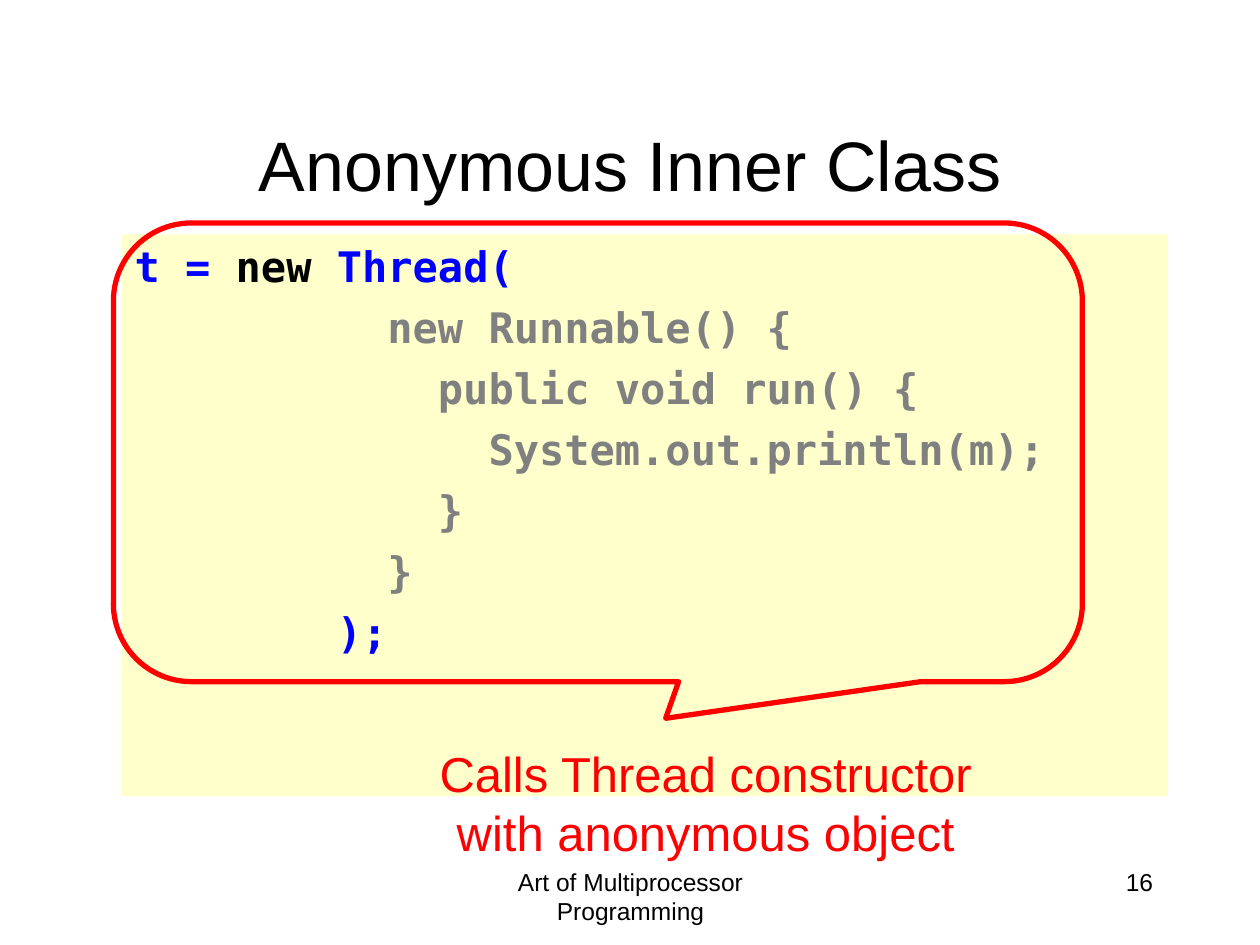
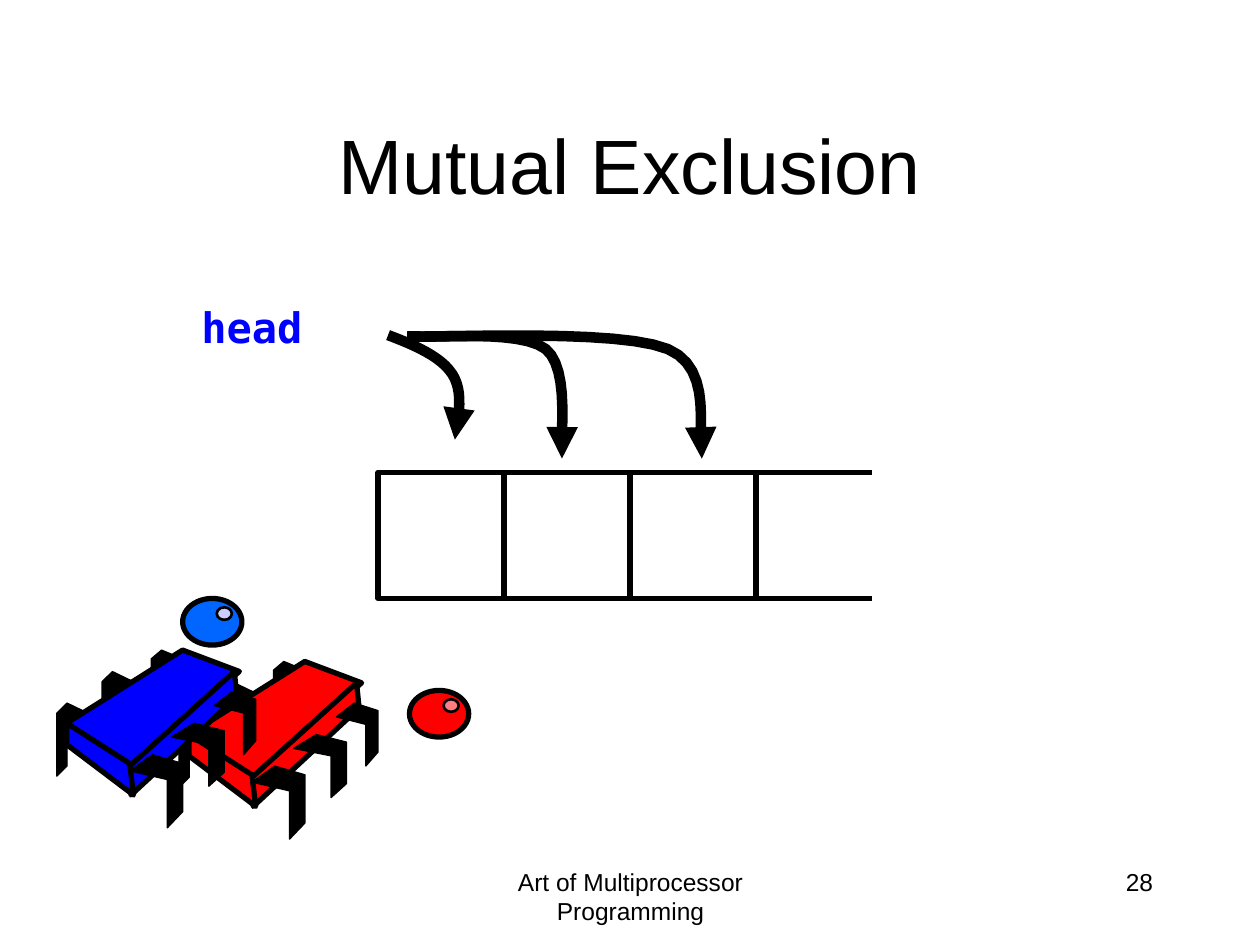
from dataclasses import dataclass

from lxml import etree
from pptx import Presentation
from pptx.dml.color import RGBColor
from pptx.enum.shapes import MSO_CONNECTOR, MSO_SHAPE
from pptx.enum.text import MSO_ANCHOR, PP_ALIGN
from pptx.oxml.ns import qn
from pptx.util import Inches, Pt

LEFT, CENTER, RIGHT = PP_ALIGN.LEFT, PP_ALIGN.CENTER, PP_ALIGN.RIGHT
TOP, MIDDLE = MSO_ANCHOR.TOP, MSO_ANCHOR.MIDDLE
RECT, ELLIPSE = MSO_SHAPE.RECTANGLE, MSO_SHAPE.OVAL
CALLOUT = MSO_SHAPE.ROUNDED_RECTANGULAR_CALLOUT
STRAIGHT = MSO_CONNECTOR.STRAIGHT

COLORS = {
    "black": "000000",
    "gray": "808080",
    "red": "FF0000",
    "blue": "0000FF",
    "sky": "0066FF",
    "lilac": "CCCCFF",
    "pink": "FF7C80",
    "cream": "FFFFCC",
}
SANS, MONO = "Arial", "DejaVu Sans Mono"
FOOTER = "Art of Multiprocessor Programming"

Point = tuple[float, float]
Box = tuple[float, float, float, float]


@dataclass(frozen=True)
class TextStyle:
    size: int
    color: str = "black"
    font: str = SANS
    bold: bool = False
    align: PP_ALIGN = CENTER
    anchor: MSO_ANCHOR = TOP


@dataclass(frozen=True)
class Bug:
    x: float
    y: float
    color: str


@dataclass(frozen=True)
class Eye:
    x: float
    y: float
    color: str
    glint: str


CODE = TextStyle(24, "blue", MONO, True, LEFT)
CODE_LINES = [
    [("t = ", "blue"), ("new", "black"), (" Thread(", "blue")],
    [("          new Runnable() {", "gray")],
    [("            public void run() {", "gray")],
    [("              System.out.println(m);", "gray")],
    [("            }", "gray")],
    [("          }", "gray")],
    [("        );", "blue")],
]

# Leg outlines as fractions of their box
BACK_LEG = [(1, 0.14), (0.33, 0), (0, 0.14), (0, 1), (0.33, 0.86), (0.33, 0.28), (1, 0.43)]
FRONT_LEG = [(0.43, 0), (0, 0.22), (0.71, 0.34), (0.71, 1), (1, 0.78), (1, 0.12)]
BACK_LEGS = [(0, 0.42, 0.25, 0.58), (0.36, 0.17, 0.25, 0.58), (0.75, 0, 0.25, 0.5)]
FRONT_LEGS = [(0.58, 0.83, 0.42, 0.58), (0.91, 0.58, 0.42, 0.5), (1.25, 0.33, 0.33, 0.5)]
# Body faces (top, side, end) in inches from the bug's corner
BODY_FACES = [
    [(1, 0), (0.08, 0.58), (0.59, 0.93), (1.45, 0.17)],
    [(1.41, 0.17), (0.58, 0.92), (0.59, 1.15), (1.43, 0.37)],
    [(0.08, 0.58), (0.08, 0.75), (0.61, 1.15), (0.58, 0.9)],
]

# Each arrow is a start point followed by two cubic segments
HEAD_ARROWS = [
    [(3.08, 2.66), (3.29, 2.74), (3.5, 2.83), (3.59, 2.97), (3.68, 3.11), (3.64, 3.3), (3.61, 3.49)],
    [(3.23, 2.67), (3.41, 2.69), (4.12, 2.61), (4.33, 2.77), (4.53, 2.93), (4.44, 3.49), (4.46, 3.64)],
    [(3.25, 2.67), (3.59, 2.68), (4.91, 2.61), (5.3, 2.77), (5.68, 2.93), (5.52, 3.46), (5.57, 3.64)],
]


def rgb(name: str) -> RGBColor:
    return RGBColor.from_string(COLORS[name])


def paint(sp, fill: str | None, line: str | None = "black", width: float = 3) -> None:
    sp.shadow.inherit = False
    if fill:
        sp.fill.solid()
        sp.fill.fore_color.rgb = rgb(fill)
    else:
        sp.fill.background()
    if line:
        sp.line.color.rgb = rgb(line)
        sp.line.width = Pt(width)
    else:
        sp.line.fill.background()


def add_shape(s, kind, box: Box, fill: str | None, line: str | None = "black", width: float = 3):
    sp = s.shapes.add_shape(kind, *map(Inches, box))
    paint(sp, fill, line, width)
    return sp


def style_paragraph(p, style: TextStyle, color: str) -> None:
    p.alignment = style.align
    p.font.name = style.font
    p.font.size = Pt(style.size)
    p.font.bold = style.bold
    p.font.color.rgb = rgb(color)


def add_text(s, box: Box, text: str, style: TextStyle):
    tf = s.shapes.add_textbox(*map(Inches, box)).text_frame
    tf.word_wrap = True
    tf.vertical_anchor = style.anchor
    p = tf.paragraphs[0]
    p.text = text
    style_paragraph(p, style, style.color)
    return p


def add_outline(s, points: list[Point], closed: bool = True):
    start, *rest = [(Inches(x), Inches(y)) for x, y in points]
    builder = s.shapes.build_freeform(*start)
    builder.add_line_segments(rest, close=closed)
    return builder.convert_to_shape()


def add_base_slide(prs, title: str, title_size: int, number: int):
    s = prs.slides.add_slide(prs.slide_layouts[6])
    add_text(s, (3.42, 6.83, 3.17, 0.5), FOOTER, TextStyle(14))
    add_text(s, (7.17, 6.83, 2.08, 0.5), str(number), TextStyle(14, align=RIGHT))
    add_text(s, (0.75, 0.67, 8.5, 1.25), title, TextStyle(title_size, anchor=MIDDLE))
    return s


def add_code(s, box: Box) -> None:
    tf = add_shape(s, RECT, box, "cream", None).text_frame
    tf.word_wrap = True
    tf.vertical_anchor = TOP
    for i, runs in enumerate(CODE_LINES):
        p = tf.add_paragraph() if i else tf.paragraphs[0]
        if i:
            p.space_before = Pt(6)
        style_paragraph(p, CODE, runs[0][1])
        for text, color in runs:
            r = p.add_run()
            r.text = text
            if len(runs) > 1:
                r.font.color.rgb = rgb(color)


def add_legs(s, bug: Bug, outline: list[Point], boxes: list[Box]) -> None:
    for x, y, w, h in boxes:
        points = [(bug.x + x + fx * w, bug.y + y + fy * h) for fx, fy in outline]
        paint(add_outline(s, points), "black", width=0.75)


def add_bug(s, bug: Bug) -> None:
    add_legs(s, bug, BACK_LEG, BACK_LEGS)
    for face in BODY_FACES:
        paint(add_outline(s, [(bug.x + x, bug.y + y) for x, y in face]), bug.color)
    add_legs(s, bug, FRONT_LEG, FRONT_LEGS)


def add_eye(s, eye: Eye) -> None:
    add_shape(s, ELLIPSE, (eye.x, eye.y, 0.47, 0.37), eye.color)
    add_shape(s, ELLIPSE, (eye.x + 0.27, eye.y + 0.07, 0.12, 0.1), eye.glint, width=1.5)


def curve_points(controls: list[Point], steps: int = 12) -> list[Point]:
    """Sample a chain of cubic Bézier segments."""
    points = [controls[0]]
    for i in range(0, len(controls) - 1, 3):
        for k in range(1, steps + 1):
            t = k / steps
            weights = ((1 - t) ** 3, 3 * t * (1 - t) ** 2, 3 * t * t * (1 - t), t**3)
            x, y = (sum(w * c[axis] for w, c in zip(weights, controls[i : i + 4])) for axis in (0, 1))
            points.append((x, y))
    return points


def add_curved_arrow(s, controls: list[Point]) -> None:
    sp = add_outline(s, curve_points(controls), closed=False)
    paint(sp, None, width=6)
    etree.SubElement(sp.line._get_or_add_ln(), qn("a:tailEnd"), type="triangle")


def add_line(s, start: Point, end: Point) -> None:
    line = s.shapes.add_connector(STRAIGHT, *map(Inches, start + end))
    line.line.color.rgb = rgb("black")
    line.line.width = Pt(3)
    etree.SubElement(line._element.spPr, qn("a:effectLst"))


def build_inner_class(prs) -> None:
    s = add_base_slide(prs, "Anonymous Inner Class", 40, 16)
    add_code(s, (0.97, 1.86, 8.3, 4.46))
    callout = add_shape(s, CALLOUT, (0.9, 1.77, 7.69, 3.64), None, "red")
    for i, value in enumerate((0.07, 0.58, 0.17)):
        callout.adjustments[i] = value
    add_text(s, (3.11, 5.85, 4.98, 1.04), "Calls Thread constructor with anonymous object", TextStyle(28, "red"))


def build_mutual_exclusion(prs) -> None:
    s = add_base_slide(prs, "Mutual Exclusion", 44, 28)
    add_eye(s, Eye(1.45, 4.75, "sky", "lilac"))
    for i in range(3):
        add_shape(s, RECT, (3 + i, 3.75, 1, 1), None)
    for y in (3.75, 4.75):
        add_line(s, (5.92, y), (6.92, y))
    add_bug(s, Bug(1.42, 5.25, "red"))
    add_bug(s, Bug(0.45, 5.16, "blue"))
    add_eye(s, Eye(3.25, 5.48, "red", "pink"))
    p = add_text(s, (1.5, 2.42, 1.51, 0.42), "head", CODE)
    p.line_spacing = 0.8
    for controls in HEAD_ARROWS:
        add_curved_arrow(s, controls)


def main() -> None:
    prs = Presentation()
    prs.slide_width, prs.slide_height = Inches(10), Inches(7.5)
    build_inner_class(prs)
    build_mutual_exclusion(prs)
    prs.save("out.pptx")


if __name__ == "__main__":
    main()
